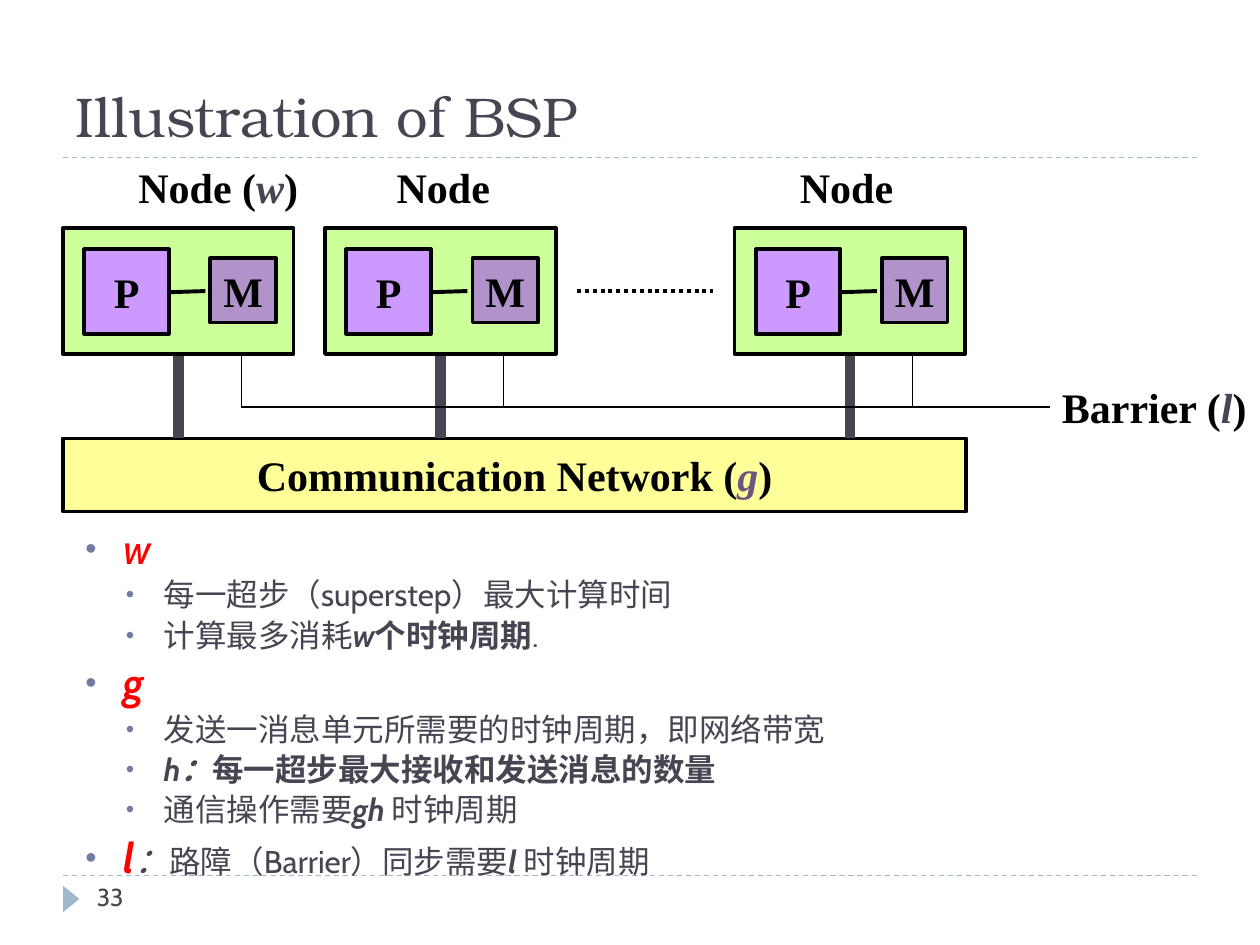
from lxml import etree
from pptx import Presentation
from pptx import util as u
from pptx.dml.color import RGBColor
from pptx.enum import dml, shapes, text
from pptx.oxml.ns import qn

SLATE = RGBColor(0x46, 0x46, 0x53)
MIST = RGBColor(0x9F, 0xB8, 0xCD)
BLACK = RGBColor(0x00, 0x00, 0x00)
RED = RGBColor(0xFF, 0x00, 0x00)
GREEN = RGBColor(0xCC, 0xFF, 0x99)
VIOLET = RGBColor(0xCC, 0x99, 0xFF)
MAUVE = RGBColor(0xB2, 0x92, 0xCA)
YELLOW = RGBColor(0xFF, 0xFF, 0x99)
PLUM = RGBColor(0x6B, 0x56, 0x80)
BULLET = "727CA3"

TITLE = dict(name="TeX Gyre Bonum", size=u.Pt(32), color=SLATE)
NUMBER = dict(name="Cabin", size=u.Pt(14), color=SLATE)
LABEL = dict(name="Times New Roman", size=u.Pt(24), color=BLACK, bold=True)
SYMBOL = LABEL | dict(color=SLATE, italic=True)
BODY = dict(name="Cabin", size=u.Pt(18), color=SLATE)
STRONG = BODY | dict(bold=True)
TERM = STRONG | dict(italic=True)
KEY = TERM | dict(size=u.Pt(24), color=RED)
COLON = BODY | dict(size=u.Pt(20), italic=True)

NOTES = [
    (0, [("w", KEY | dict(bold=False))]),
    (1, [("每一超步（superstep）最大计算时间", BODY)]),
    (1, [("计算最多消耗", BODY), ("w", TERM), ("个时钟周期", STRONG), (".", BODY)]),
    (0, [("g", KEY)]),
    (1, [("发送一消息单元所需要的时钟周期，即网络带宽", BODY)]),
    (1, [("h：", TERM), ("每一超步最大接收和发送消息的数量", STRONG)]),
    (1, [("通信操作需要", BODY), ("gh ", TERM), ("时钟周期", BODY)]),
    (0, [("l", KEY), ("：", COLON), ("路障（Barrier）同步需要", BODY),
         ("l ", TERM), ("时钟周期", BODY)]),
]


def add_spans(para, spans):
    for words, style in spans:
        span = para.add_run()
        span.text = words
        for key, value in style.items():
            if key == "color":
                span.font.color.rgb = value
            else:
                setattr(span.font, key, value)


def add_text(page, box, spans, wrap=True, anchor=text.MSO_ANCHOR.TOP):
    frame = page.shapes.add_textbox(*map(u.Inches, box)).text_frame
    frame.word_wrap = wrap
    frame.vertical_anchor = anchor
    add_spans(frame.paragraphs[0], spans)
    return frame


def add_block(page, box, fill, spans=()):
    block = page.shapes.add_shape(shapes.MSO_SHAPE.RECTANGLE, *map(u.Inches, box))
    block.shadow.inherit = False
    block.fill.solid()
    block.fill.fore_color.rgb = fill
    block.line.color.rgb = BLACK
    block.line.width = u.Pt(2.25)
    frame = block.text_frame
    frame.word_wrap = False
    frame.vertical_anchor = text.MSO_ANCHOR.MIDDLE
    frame.paragraphs[0].alignment = text.PP_ALIGN.CENTER
    add_spans(frame.paragraphs[0], spans)


def add_line(page, start, end, color=BLACK, width=2.25, dash=None):
    line = page.shapes.add_connector(
        shapes.MSO_CONNECTOR.STRAIGHT, *map(u.Inches, start + end))
    etree.SubElement(line._element.spPr, qn("a:effectLst"))
    line.line.color.rgb = color
    line.line.width = u.Pt(width)
    if dash:
        line.line.dash_style = dash


def add_header(page, box):
    left, top, width, height = box
    bottom = top + height
    add_line(page, (left, bottom + 0.02), (left + width, bottom + 0.02),
             MIST, 0.75, dml.MSO_LINE.DASH)
    add_text(page, (left, top, 7.68, height), [("Illustration of BSP", TITLE)],
             anchor=text.MSO_ANCHOR.BOTTOM)


def add_footer(page, box):
    left, top, width, height = box
    add_line(page, (left, top), (left + width, top), MIST, 0.75, dml.MSO_LINE.DASH)
    marker = page.shapes.add_shape(
        shapes.MSO_SHAPE.ISOSCELES_TRIANGLE,
        *map(u.Inches, (left - 0.04, top + 0.12, 0.21, 0.13)))
    marker.rotation = 90
    marker.shadow.inherit = False
    marker.fill.solid()
    marker.fill.fore_color.rgb = MIST
    marker.line.fill.background()
    add_text(page, (left + 0.17, top, 2.17, height), [("33", NUMBER)])


def add_node(page, box, network_top, barrier_y):
    left, top, width, height = box
    bottom = top + height
    middle = left + width / 2
    add_line(page, (middle, bottom), (middle, network_top), SLATE, 6)
    add_block(page, box, GREEN)
    add_block(page, (left + 0.17, top + 0.17, 0.67, 0.67), VIOLET, [("P", LABEL)])
    add_block(page, (left + 1.17, top + 0.24, 0.52, 0.51), MAUVE, [("M", LABEL)])
    add_line(page, (left + 1.13, top + 0.5), (left + 0.83, top + 0.51))
    add_line(page, (middle + 0.5, bottom), (middle + 0.5, barrier_y), width=0.75)


def add_diagram(page, box):
    left, top, width, height = box
    node_top = top + 0.58
    barrier_y = top + 2
    network_top = top + 2.25
    add_block(page, (left, network_top, width, height - 2.25), YELLOW,
              [("Communication Network (", LABEL),
               ("g", SYMBOL | dict(color=PLUM)), (")", LABEL)])
    named = [("Node (", LABEL), ("w", SYMBOL), (")", LABEL)]
    plain = [("Node", LABEL)]
    for offset, shift, label_width, spans in (
            (0, 0.5, 1.47, named), (2.08, 0.47, 0.94, plain), (5.33, 0.42, 0.94, plain)):
        add_node(page, (left + offset, node_top, 1.83, 1), network_top, barrier_y)
        add_text(page, (left + offset + shift, top, label_width, 0.5), spans, wrap=False)
    add_line(page, (left + 4.08, node_top + 0.5), (left + 5.16, node_top + 0.5),
             dash=dml.MSO_LINE.ROUND_DOT)
    add_line(page, (left + 1.41, barrier_y), (left + 7.83, barrier_y), width=0.75)
    add_text(page, (left + 7.83, barrier_y - 0.25, 1.67, 0.5),
             [("Barrier (", LABEL), ("l", SYMBOL), (")", LABEL)], wrap=False)


def add_bullet(para, level):
    props = para._p.get_or_add_pPr()
    props.set("marL", str(u.Inches(0.7 if level else 0.38)))
    props.set("indent", str(u.Inches(-0.3)))
    color = etree.SubElement(props, qn("a:buClr"))
    etree.SubElement(color, qn("a:srgbClr"), val=BULLET)
    etree.SubElement(props, qn("a:buSzPct"), val="76000")
    etree.SubElement(props, qn("a:buFont"), typeface="Arial")
    etree.SubElement(props, qn("a:buChar"), char="•")


def add_notes(page, box):
    frame = add_text(page, box, [])
    for index, (level, spans) in enumerate(NOTES):
        para = frame.add_paragraph() if index else frame.paragraphs[0]
        add_bullet(para, level)
        before = (3.6 if level else 4.8) if index else 0
        layout = dict(level=level, line_spacing=0.9, space_before=u.Pt(before))
        for key, value in layout.items():
            setattr(para, key, value)
        add_spans(para, spans)


def main():
    deck = Presentation()
    deck.slide_width, deck.slide_height = u.Inches(10), u.Inches(7.5)
    page = deck.slides.add_slide(deck.slide_layouts[6])
    add_header(page, (0.5, 0.36, 9, 0.87))
    add_footer(page, (0.5, 6.95, 9, 0.4))
    add_diagram(page, (0.5, 1.23, 7.17, 2.83))
    add_notes(page, (0.5, 4.14, 9.07, 3.15))
    deck.save("out.pptx")


if __name__ == "__main__":
    main()
